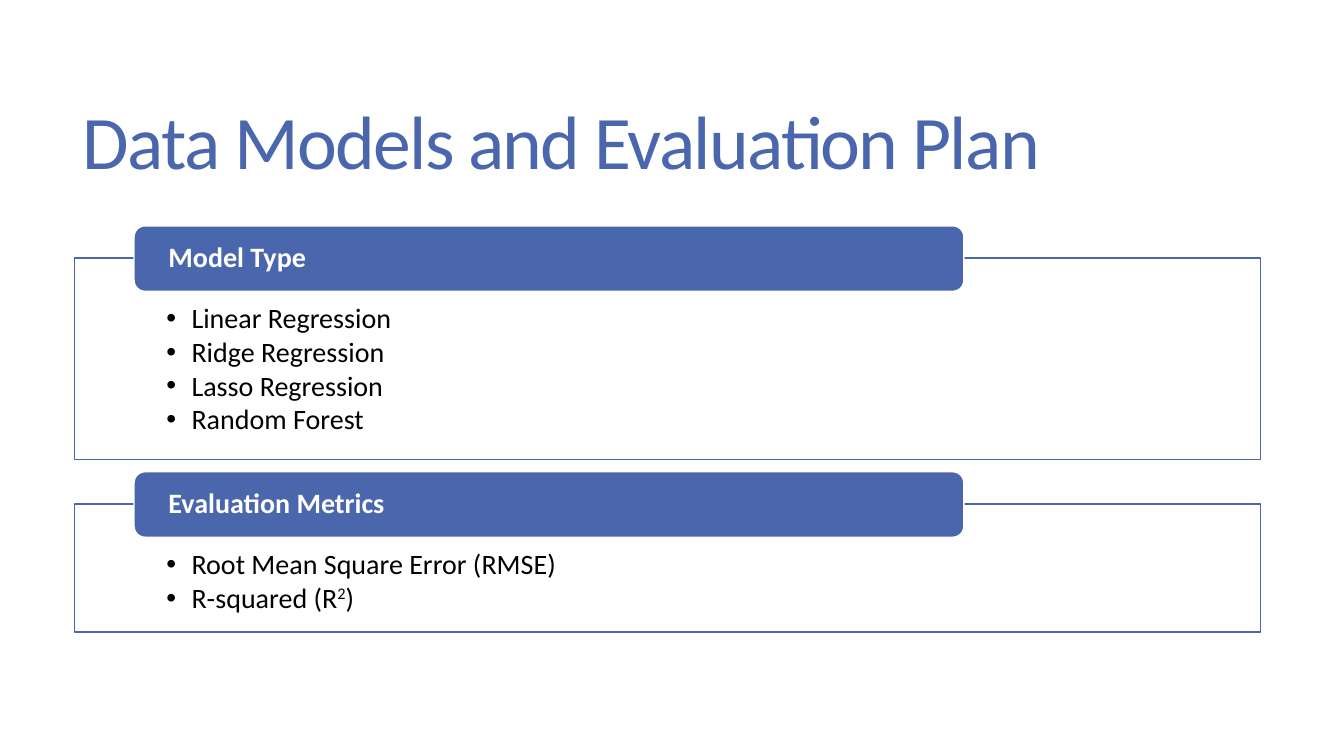
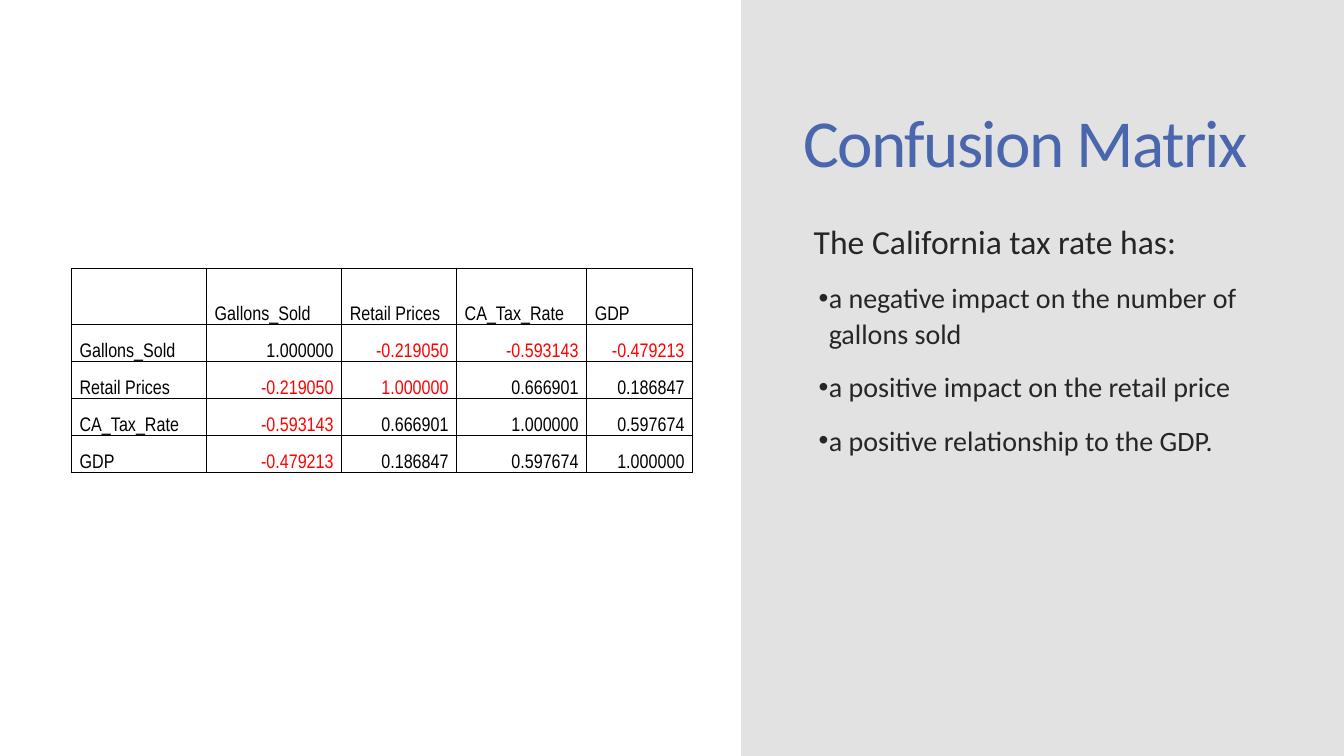
import pptx
import pptx.util
import pptx.dml.color
import pptx.enum.shapes
import pptx.enum.text
import pptx.oxml
import pptx.oxml.ns

Inches, Pt = pptx.util.Inches, pptx.util.Pt
RGBColor = pptx.dml.color.RGBColor
MSO_SHAPE = pptx.enum.shapes.MSO_SHAPE
PP_ALIGN, MSO_ANCHOR = pptx.enum.text.PP_ALIGN, pptx.enum.text.MSO_ANCHOR

# Shared style
BLUE = RGBColor(0x4A, 0x66, 0xAC)
WHITE = RGBColor(0xFF, 0xFF, 0xFF)
BLACK = RGBColor(0, 0, 0)
RED = RGBColor(0xFF, 0, 0)
GREY = RGBColor(0xE2, 0xE2, 0xE2)
DARK = RGBColor(0x26, 0x26, 0x26)
FONT, TABLE_FONT = "Calibri", "Arial Narrow"
TITLE_TOP, TITLE_HEIGHT = 0.55, 1.81

# Content: each list item is a sequence of (text, is superscript)
PANELS = [
    ("Model Type", 2, [
        [("Linear Regression", False)],
        [("Ridge Regression", False)],
        [("Lasso Regression", False)],
        [("Random Forest", False)],
    ]),
    ("Evaluation Metrics", 1.27, [
        [("Root Mean Square Error (RMSE)", False)],
        [("R-squared (R", False), ("2", True), (")", False)],
    ]),
]
TAX_LEAD = "The California tax rate has:"
TAX_EFFECTS = [
    "a negative impact on the number of gallons sold",
    "a positive impact on the retail price",
    "a positive relationship to the GDP.",
]
VARIABLES = ["Gallons_Sold", "Retail Prices", "CA_Tax_Rate", "GDP"]
CORRELATIONS = [
    ["1.000000", "-0.219050", "-0.593143", "-0.479213"],
    ["-0.219050", "1.000000", "0.666901", "0.186847"],
    ["-0.593143", "0.666901", "1.000000", "0.597674"],
    ["-0.479213", "0.186847", "0.597674", "1.000000"],
]
MARKED_RED = {(2, 2)}  # red although not negative (row, column)
COLUMN_WIDTHS = [1.34, 1.34, 1.14, 1.29, 1.05]
ROW_HEIGHTS = [0.56] + [0.31] * len(CORRELATIONS)


def style(paragraph, size, color, font=FONT, bold=False, spacing=0.9):
    paragraph.line_spacing = spacing
    paragraph.font.name = font
    paragraph.font.size = Pt(size)
    paragraph.font.bold = bold
    paragraph.font.color.rgb = color


def set_indent(paragraph, margin, hanging, bullet=None):
    props = paragraph._p.get_or_add_pPr()
    props.set("marL", str(Inches(margin)))
    props.set("indent", str(-Inches(hanging)))
    if bullet:
        font = pptx.oxml.parse_xml(
            f'<a:buFont {pptx.oxml.ns.nsdecls("a")} typeface="Arial"/>')
        char = pptx.oxml.parse_xml(
            f'<a:buChar {pptx.oxml.ns.nsdecls("a")} char="{bullet}"/>')
        props.extend([font, char])
    else:
        props.append(pptx.oxml.parse_xml(
            f'<a:buNone {pptx.oxml.ns.nsdecls("a")}/>'))


def set_insets(frame, left, top, right, bottom):
    frame.margin_left, frame.margin_top = Inches(left), Inches(top)
    frame.margin_right, frame.margin_bottom = Inches(right), Inches(bottom)


def place(shape, left, top, width, height):
    shape.left, shape.top = Inches(left), Inches(top)
    shape.width, shape.height = Inches(width), Inches(height)


def add_box(slide, kind, left, top, width, height, fill, line=None):
    box = slide.shapes.add_shape(
        kind, Inches(left), Inches(top), Inches(width), Inches(height))
    box.shadow.inherit = False
    box.fill.solid()
    box.fill.fore_color.rgb = fill
    if line is None:
        box.line.fill.background()
    else:
        box.line.color.rgb = line
        box.line.width = Pt(1)
    return box


def set_title(slide, text, left, width, size):
    title = slide.shapes.title
    place(title, left, TITLE_TOP, width, TITLE_HEIGHT)
    frame = title.text_frame
    frame.text = text
    frame.auto_size = pptx.enum.text.MSO_AUTO_SIZE.NONE
    frame.vertical_anchor = MSO_ANCHOR.MIDDLE
    paragraph = frame.paragraphs[0]
    paragraph.alignment = PP_ALIGN.LEFT
    style(paragraph, size, BLUE, spacing=0.85)
    paragraph.runs[0]._r.get_or_add_rPr().set("spc", "-120")


def add_panel(slide, top, height, heading, items):
    panel = add_box(slide, MSO_SHAPE.RECTANGLE, 0.74, top, 11.76, height, WHITE, BLUE)
    frame = panel.text_frame
    frame.vertical_anchor = MSO_ANCHOR.TOP
    set_insets(frame, 0.91, 0.46, 0.91, 0.16)
    for index, pieces in enumerate(items):
        paragraph = frame.add_paragraph() if index else frame.paragraphs[0]
        paragraph.alignment = PP_ALIGN.LEFT
        paragraph.space_after = Pt(2.5)
        set_indent(paragraph, 0.25, 0.25, "•")
        style(paragraph, 20, BLACK)
        for text, superscript in pieces:
            run = paragraph.add_run()
            run.text = text
            if superscript:
                run._r.get_or_add_rPr().set("baseline", "30000")

    # Heading tab straddles the panel's top edge
    tab = add_box(slide, MSO_SHAPE.ROUNDED_RECTANGLE,
                  1.33, top - 0.32, 8.23, 0.65, BLUE, WHITE)
    set_insets(tab.text_frame, 0.31, 0, 0.31, 0)
    tab.text_frame.text = heading
    tab.text_frame.vertical_anchor = MSO_ANCHOR.MIDDLE
    paragraph = tab.text_frame.paragraphs[0]
    paragraph.alignment = PP_ALIGN.LEFT
    style(paragraph, 20, WHITE, bold=True)


def add_borders(cell):
    props = cell._tc.get_or_add_tcPr()
    for side in ("lnL", "lnR", "lnT", "lnB"):
        props.append(pptx.oxml.parse_xml(
            f'<a:{side} {pptx.oxml.ns.nsdecls("a")} w="{Pt(1)}"><a:solidFill>'
            f'<a:srgbClr val="{BLACK}"/></a:solidFill></a:{side}>'))


def add_matrix(slide):
    rows = [[""] + VARIABLES]
    rows += [[name] + values for name, values in zip(VARIABLES, CORRELATIONS)]
    table = slide.shapes.add_table(
        len(rows), len(rows[0]), Inches(0.71), Inches(2.66),
        Inches(sum(COLUMN_WIDTHS)), Inches(sum(ROW_HEIGHTS))).table
    table.first_row = table.horz_banding = False
    for column, width in zip(table.columns, COLUMN_WIDTHS):
        column.width = Inches(width)
    for r, values in enumerate(rows):
        table.rows[r].height = Inches(ROW_HEIGHTS[r])
        for c, value in enumerate(values):
            cell = table.cell(r, c)
            add_borders(cell)
            cell.fill.background()
            cell.vertical_anchor = MSO_ANCHOR.BOTTOM
            set_insets(cell, 0.08, 0, 0.08, 0)
            cell.text = value
            paragraph = cell.text_frame.paragraphs[0]
            paragraph.alignment = PP_ALIGN.RIGHT if r and c else PP_ALIGN.LEFT
            is_red = value.startswith("-") or (r, c) in MARKED_RED
            style(paragraph, 14, RED if is_red else BLACK, TABLE_FONT, spacing=2.0)


def build_models(prs):
    slide = prs.slides.add_slide(prs.slide_layouts[5])
    set_title(slide, "Data Models and Evaluation Plan", 0.72, 11.78, 54)
    top, gap = 2.56, 0.44
    for heading, height, items in PANELS:
        add_panel(slide, top, height, heading, items)
        top += height + gap


def build_confusion(prs):
    slide = prs.slides.add_slide(prs.slide_layouts[1])
    band = add_box(slide, MSO_SHAPE.RECTANGLE, 7.35, 0, 5.98, 7.5, GREY)
    slide.shapes._spTree.insert(2, band._element)  # behind the placeholders
    set_title(slide, "Confusion Matrix", 7.87, 4.75, 48)

    # Findings
    findings = slide.placeholders[1]
    place(findings, 7.87, 2.2, 4.75, 4.23)
    frame = findings.text_frame
    frame.auto_size = pptx.enum.text.MSO_AUTO_SIZE.NONE
    frame.text = "\n".join([TAX_LEAD] + TAX_EFFECTS)
    for index, paragraph in enumerate(frame.paragraphs):
        paragraph.space_before = Pt(13 if index else 0)
        if index:
            set_indent(paragraph, 0.25, 0.1, "•")
            style(paragraph, 20, DARK, spacing=1.05)
        else:
            set_indent(paragraph, 0.1, 0)
            style(paragraph, 24, DARK, spacing=0.85)

    add_matrix(slide)


def main():
    prs = pptx.Presentation()
    prs.slide_width, prs.slide_height = Inches(13.33), Inches(7.5)
    build_models(prs)
    build_confusion(prs)
    prs.save("out.pptx")


if __name__ == "__main__":
    main()
